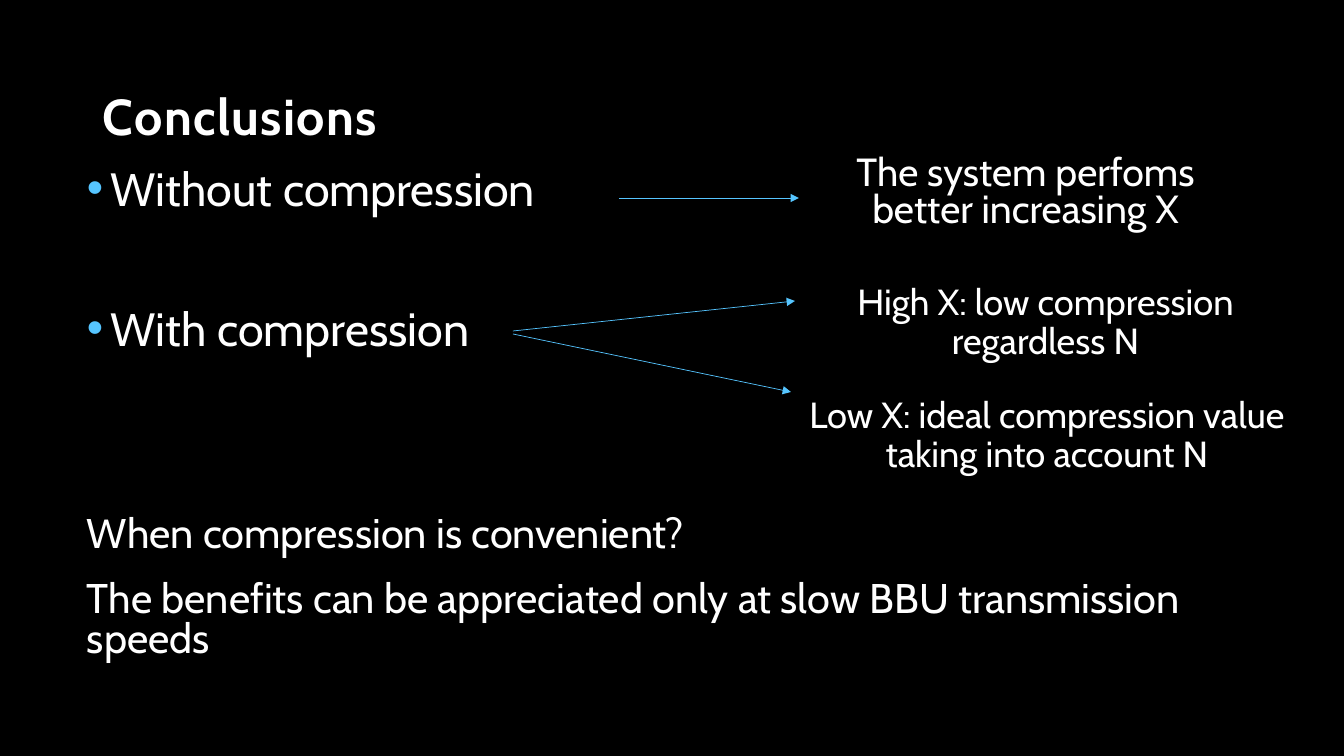
from dataclasses import dataclass

from lxml.etree import SubElement
from pptx import Presentation
from pptx.dml.color import RGBColor
from pptx.enum.shapes import MSO_CONNECTOR
from pptx.enum.text import MSO_ANCHOR, PP_ALIGN
from pptx.oxml.ns import qn
from pptx.util import Emu, Pt


@dataclass(frozen=True)
class Theme:
    font: str = "Cabin"
    background: RGBColor = RGBColor(0x00, 0x00, 0x00)
    text: RGBColor = RGBColor(0xFF, 0xFF, 0xFF)
    accent: RGBColor = RGBColor(0x56, 0xC5, 0xFF)
    title: float = 36
    topic: float = 33.3
    closing: float = 29.6
    finding: float = 28
    detail: float = 25.9
    arrow: float = 0.5


def px(length):
    return Emu(round(length * 914400 / 100.8))


class SlideBuilder:
    def __init__(self, slide, theme):
        self.slide = slide
        self.theme = theme
        slide.background.fill.solid()
        slide.background.fill.fore_color.rgb = theme.background

    def frame(self, left, top, width, height, anchor=MSO_ANCHOR.TOP):
        frame = self.slide.shapes.add_textbox(*map(px, (left, top, width, height))).text_frame
        frame.word_wrap = True
        frame.vertical_anchor = anchor
        return frame

    def add_text(self, frame, text, size, bold=False, align=PP_ALIGN.LEFT,
                 line=0.8, before=0, bullet=False, spacing=0):
        """Fill the frame's empty first paragraph, or add another one."""
        first = frame.paragraphs[0]
        paragraph = frame.add_paragraph() if first.runs else first
        paragraph.alignment = align
        paragraph.line_spacing = line
        paragraph.space_before = Pt(before)
        if bullet:
            self.add_bullet(paragraph)
        run = paragraph.add_run()
        run.text = text
        run.font.name = self.theme.font
        run.font.size = Pt(size)
        run.font.bold = bold
        run.font.color.rgb = self.theme.text
        if spacing:
            run.font._element.set("spc", str(spacing * 100))

    def add_bullet(self, paragraph):
        properties = paragraph._p.get_or_add_pPr()
        properties.set("marL", str(px(24)))
        properties.set("indent", str(-px(24)))
        color = SubElement(properties, qn("a:buClr"))
        SubElement(color, qn("a:srgbClr"), val=str(self.theme.accent))
        SubElement(properties, qn("a:buFont"), typeface="Arial")
        SubElement(properties, qn("a:buChar"), char="•")

    def arrow(self, start_x, start_y, end_x, end_y):
        connector = self.slide.shapes.add_connector(
            MSO_CONNECTOR.STRAIGHT, *map(px, (start_x, start_y, end_x, end_y)))
        connector.line.color.rgb = self.theme.accent
        connector.line.width = Pt(self.theme.arrow)
        SubElement(connector.line._get_or_add_ln(), qn("a:tailEnd"), type="triangle")
        SubElement(connector._element.spPr, qn("a:effectLst"))


def main():
    presentation = Presentation()
    presentation.slide_width, presentation.slide_height = px(1344), px(756)
    theme = Theme()
    builder = SlideBuilder(presentation.slides.add_slide(presentation.slide_layouts[6]), theme)

    heading = builder.frame(93, 0, 1008, 151, anchor=MSO_ANCHOR.BOTTOM)
    builder.add_text(heading, "Conclusions", theme.title, bold=True, line=0.9, spacing=1)

    body = builder.frame(77, 166, 1135, 569)
    builder.add_text(body, "Without compression", theme.topic, bullet=True)
    builder.add_text(body, "With compression", theme.topic, bullet=True, before=68)
    builder.add_text(body, "When compression is convenient?", theme.closing, before=115)
    builder.add_text(body, "The benefits can be appreciated only at slow BBU transmission speeds",
                     theme.closing, before=18)

    findings = [
        ("The system perfoms better increasing X", (795, 151, 461, 95), theme.finding, 0.8),
        ("High X: low compression regardless N", (815, 279, 461, 106), theme.detail, 0.9),
        ("Low X: ideal compression value taking into account N", (799, 392, 496, 106),
         theme.detail, 0.9),
    ]
    for text, box, size, line in findings:
        builder.add_text(builder.frame(*box), text, size, align=PP_ALIGN.CENTER, line=line)

    for ends in [(619, 198, 799, 198), (513, 331, 795, 301), (513, 334, 791, 392)]:
        builder.arrow(*ends)

    presentation.save("out.pptx")


if __name__ == "__main__":
    main()
